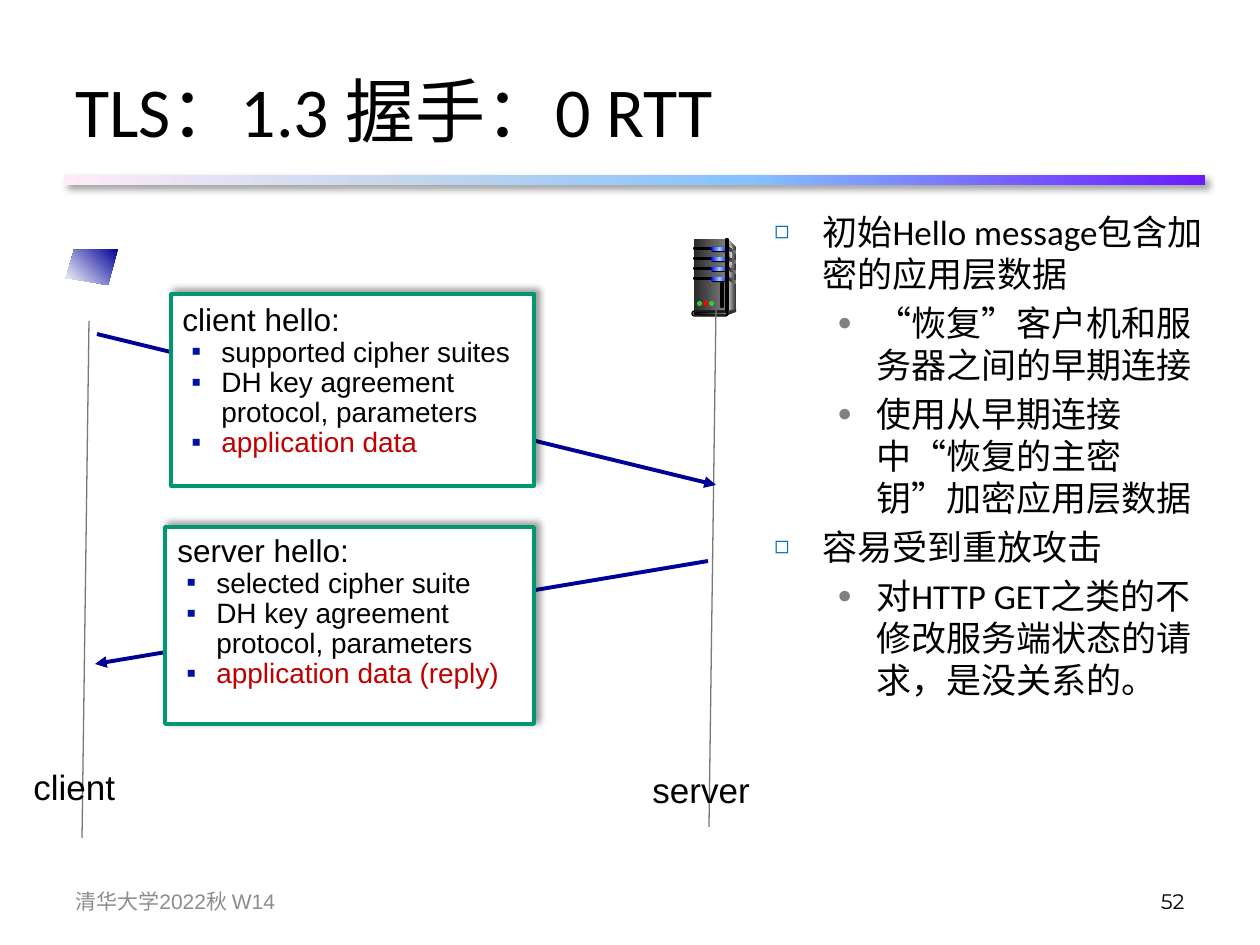
from lxml.etree import SubElement
from pptx import Presentation
from pptx.dml.color import RGBColor
from pptx.enum.shapes import MSO_CONNECTOR, MSO_SHAPE
from pptx.enum.text import MSO_ANCHOR, PP_ALIGN
from pptx.oxml.ns import qn
from pptx.util import Emu, Pt

PX = 914400 / 126
BLACK = RGBColor(0x00, 0x00, 0x00)
WHITE = RGBColor(0xFF, 0xFF, 0xFF)
NAVY = RGBColor(0x00, 0x00, 0x99)
MARKER_NAVY = RGBColor(0x00, 0x12, 0xA0)
MARKER_BLUE = RGBColor(0x00, 0x70, 0xC0)
DARK_RED = RGBColor(0xC0, 0x00, 0x00)
RED = RGBColor(0xFF, 0x00, 0x00)
GREEN = RGBColor(0x33, 0xCC, 0x33)
TEAL = RGBColor(0x00, 0x97, 0x71)
COAL = RGBColor(0x29, 0x29, 0x29)
CHARCOAL = RGBColor(0x33, 0x33, 0x33)
LIFELINE_GRAY = RGBColor(0x77, 0x77, 0x77)
GRAY = RGBColor(0x80, 0x80, 0x80)
FOOTER_GRAY = RGBColor(0x8C, 0x8C, 0x8C)
SILVER = RGBColor(0xDD, 0xDD, 0xDD)
PALE = RGBColor(0xF8, 0xF8, 0xF8)
BLUE = RGBColor(0x00, 0x00, 0xFF)
SKY = RGBColor(0x99, 0xCC, 0xFF)
RULE_COLORS = [(0, RGBColor(0x6B, 0x19, 0xFF)), (40, RGBColor(0x85, 0xC2, 0xFF)),
               (70, RGBColor(0xC4, 0xD6, 0xEB)), (100, RGBColor(0xFF, 0xEB, 0xFA))]
METAL = [(0, COAL), (100, GRAY)]
GLOW = [(0, BLUE), (50, SKY), (100, BLUE)]

LABELS = [
    ("TLS：1.3 握手：0 RTT", (63, 45, 1134, 129), "Calibri", 40, BLACK, PP_ALIGN.LEFT, MSO_ANCHOR.MIDDLE, 1),
    ("52", (903, 876, 294, 50), "Montserrat", 12, BLACK, PP_ALIGN.RIGHT, MSO_ANCHOR.MIDDLE, 1),
    ("清华大学2022秋 W14", (63, 876, 294, 50), "Arial", 12, FOOTER_GRAY, PP_ALIGN.LEFT, MSO_ANCHOR.MIDDLE, 1),
    ("client", (21, 766, 130, 49), "Arial", 20, BLACK, PP_ALIGN.LEFT, MSO_ANCHOR.TOP, 0.85),
    ("server", (640, 769, 140, 49), "Arial", 20, BLACK, PP_ALIGN.LEFT, MSO_ANCHOR.TOP, 0.85),
]
LIFELINES = [((89, 321), (82, 838)), ((716, 310), (709, 827))]
MESSAGES = [((97, 334), (716, 485)), ((708, 561), (95, 664))]
HELLOS = [
    ("client hello:", ["supported cipher suites", "DH key agreement protocol, parameters"],
     "application data", (171, 294, 363, 192), (170, 294, 369, 176)),
    ("server hello:", ["selected cipher suite", "DH key agreement protocol, parameters"],
     "application data (reply)", (165, 527, 369, 197), (165, 525, 368, 173)),
]
NOTES = [
    (0, "初始Hello message包含加密的应用层数据"),
    (1, "“恢复”客户机和服务器之间的早期连接"),
    (1, "使用从早期连接中“恢复的主密钥”加密应用层数据"),
    (0, "容易受到重放攻击"),
    (1, "对HTTP GET之类的不修改服务端状态的请求，是没关系的。"),
]
NOTE_LEVELS = [("◻", MARKER_BLUE, 48, 48), ("●", GRAY, 102, 39)]

prs = Presentation()
prs.slide_width, prs.slide_height = Emu(9144000), Emu(6858000)
slide = prs.slides.add_slide(prs.slide_layouts[6])


def px(*lengths):
    return [Emu(round(length * PX)) for length in lengths]


def paint(shape, color, angle=0, line=None, width=0.75):
    shape.shadow.inherit = False
    if isinstance(color, list):
        shape.fill.gradient()
        gradient = shape.fill._xPr.find(qn("a:gradFill"))
        for child in list(gradient):
            gradient.remove(child)
        stops = SubElement(gradient, qn("a:gsLst"))
        for position, stop_color in color:
            stop = SubElement(stops, qn("a:gs"), pos=str(position * 1000))
            SubElement(stop, qn("a:srgbClr"), val=str(stop_color))
        SubElement(gradient, qn("a:lin"), ang=str(angle * 60000), scaled="0")
    else:
        shape.fill.solid()
        shape.fill.fore_color.rgb = color
    if line is None:
        shape.line.fill.background()
    else:
        shape.line.color.rgb = line
        shape.line.width = Pt(width)
    return shape


def block(kind, box, color, **style):
    shape = slide.shapes.add_shape(kind, *px(*box))
    if kind == MSO_SHAPE.ROUNDED_RECTANGLE:
        shape.adjustments[0] = 0.5
    return paint(shape, color, **style)


def outline(points, color, **style):
    builder = slide.shapes.build_freeform(*points[0], scale=PX)
    builder.add_line_segments(points[1:], close=True)
    return paint(builder.convert_to_shape(), color, **style)


def cast_shadow(shape, direction):
    effects = shape._element.spPr.find(qn("a:effectLst"))
    shadow = SubElement(effects, qn("a:outerShdw"), blurRad=str(Pt(4)), dist=str(Pt(3)),
                        dir=str(direction * 60000), algn="ctr", rotWithShape="0")
    tint = SubElement(shadow, qn("a:srgbClr"), val=str(BLACK))
    SubElement(tint, qn("a:alpha"), val="40000")


def connect(start, end, color, width, arrow=False):
    line = slide.shapes.add_connector(MSO_CONNECTOR.STRAIGHT, *px(*start, *end))
    line.line.color.rgb = color
    line.line.width = Pt(width)
    if arrow:
        SubElement(line.line._get_or_add_ln(), qn("a:tailEnd"), type="triangle")
    SubElement(line._element.spPr, qn("a:effectLst"))


def text_frame(box):
    frame = slide.shapes.add_textbox(*px(*box)).text_frame
    frame.word_wrap = True
    return frame


def write(frame, text, font, size, color, bullet=None):
    first = not frame.paragraphs[0].runs
    paragraph = frame.paragraphs[0] if first else frame.add_paragraph()
    paragraph.add_run().text = text
    if bullet:
        mark, mark_color, margin, hang, scale = bullet
        props = paragraph._p.get_or_add_pPr()
        props.set("marL", str(px(margin)[0]))
        props.set("indent", str(-px(hang)[0]))
        tint = SubElement(props, qn("a:buClr"))
        SubElement(tint, qn("a:srgbClr"), val=str(mark_color))
        SubElement(props, qn("a:buSzPct"), val=str(scale * 1000))
        SubElement(props, qn("a:buFont"), typeface="Arial")
        SubElement(props, qn("a:buChar"), char=mark)
    paragraph.font.name = font
    paragraph.font.size = Pt(size)
    paragraph.font.color.rgb = color
    return paragraph


def draw_server():
    rect, pill, dot = MSO_SHAPE.RECTANGLE, MSO_SHAPE.ROUNDED_RECTANGLE, MSO_SHAPE.OVAL
    outline([(728, 239), (736, 248), (736, 309), (727, 312)], [(0, SILVER), (100, CHARCOAL)])
    block(rect, (694, 239, 33, 73), METAL)
    outline([(728, 243), (733, 249), (729, 280), (728, 310)], [(0, GRAY), (100, PALE)])
    for top in (247, 257, 267, 277):
        block(rect, (694, top + 1, 18, 1), BLACK, line=BLACK)
        block(pill, (711, top, 17, 5), BLACK)
        block(pill, (711, top, 17, 4), GLOW)
        outline([(728, top), (736, top + 4), (736, top + 7), (728, top + 3)], METAL)
    block(rect, (726, 239, 2, 73), [(0, CHARCOAL), (50, SILVER), (100, CHARCOAL)], line=BLACK)
    outline([(728, 311), (728, 315), (736, 312), (736, 309)], CHARCOAL)
    block(pill, (692, 311, 36, 5), SILVER, line=BLACK)
    block(pill, (694, 312, 33, 3), [(0, BLACK), (100, GRAY)], line=BLACK)
    for index, color in enumerate((GREEN, RED, GREEN)):
        block(dot, (697 + 6 * index, 301, 5, 5), color)
    block(rect, (721, 283, 2, 24), COAL, line=BLACK)


cast_shadow(block(MSO_SHAPE.RECTANGLE, (64, 175, 1141, 10), RULE_COLORS, angle=180), 45)
outline([(118, 249), (74, 250), (66, 278), (108, 285)], [(0, NAVY), (100, WHITE)], angle=135)
draw_server()
for start, end in LIFELINES:
    connect(start, end, LIFELINE_GRAY, 0.75)
for start, end in MESSAGES:
    connect(start, end, NAVY, 2.25, arrow=True)

for heading, items, payload, panel, text_box in HELLOS:
    cast_shadow(block(MSO_SHAPE.RECTANGLE, panel, WHITE, line=TEAL, width=2), 315)
    hello = text_frame(text_box)
    write(hello, heading, "Arial", 18, BLACK)
    for item in items + [payload]:
        color = DARK_RED if item == payload else BLACK
        write(hello, item, "Arial", 16, color, ("▪", MARKER_NAVY, 39, 30, 100)).line_spacing = 0.9

for text, box, font, size, color, align, anchor, spacing in LABELS:
    label = text_frame(box)
    label.vertical_anchor = anchor
    paragraph = write(label, text, font, size, color)
    paragraph.alignment = align
    if spacing != 1:
        paragraph.line_spacing = spacing

notes = text_frame((762, 204, 454, 640))
for index, (level, text) in enumerate(NOTES):
    note = write(notes, text, "Calibri", 20, BLACK, (*NOTE_LEVELS[level], 70))
    note.level = level
    if index:
        note.space_before = Pt(4)

prs.save("out.pptx")
